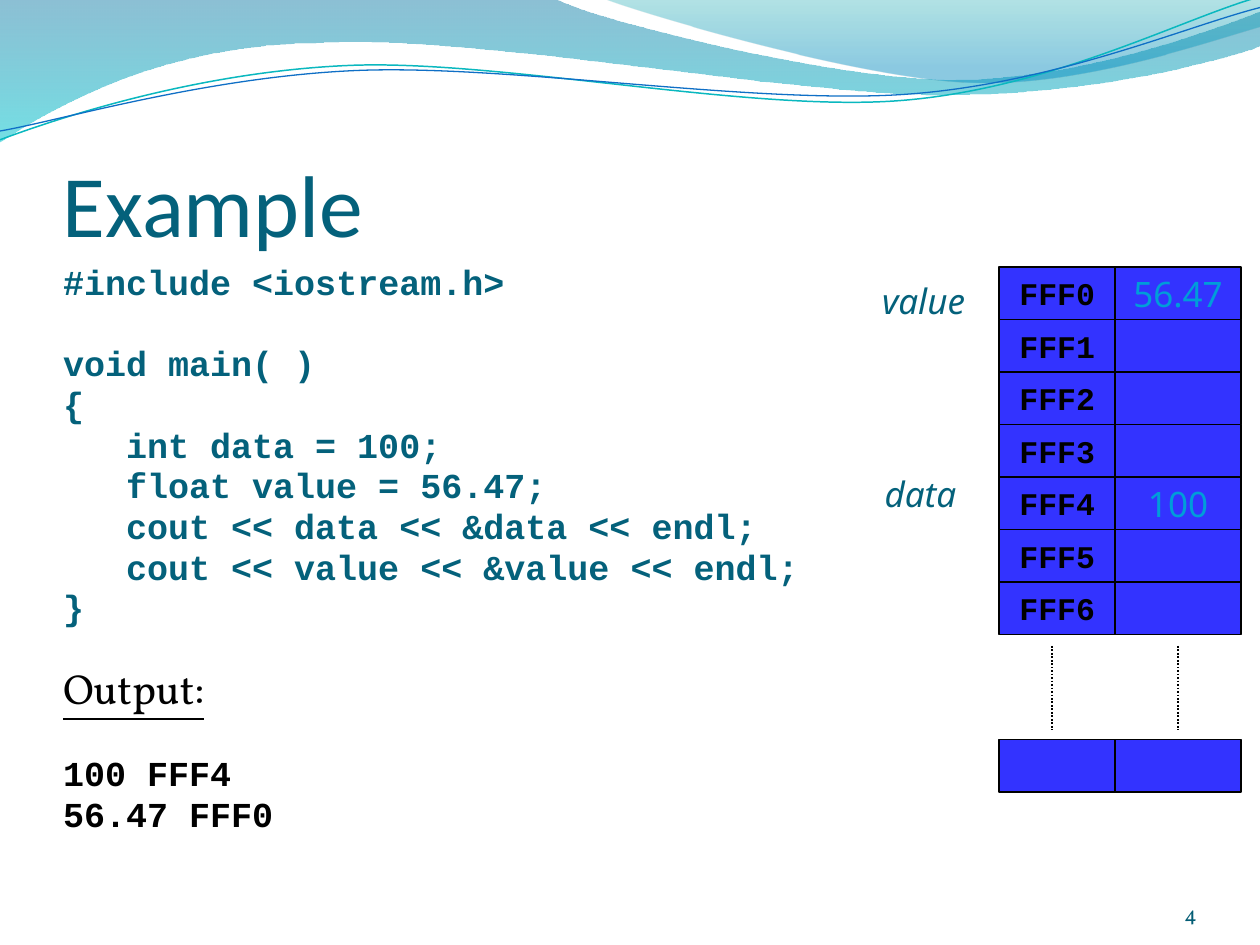
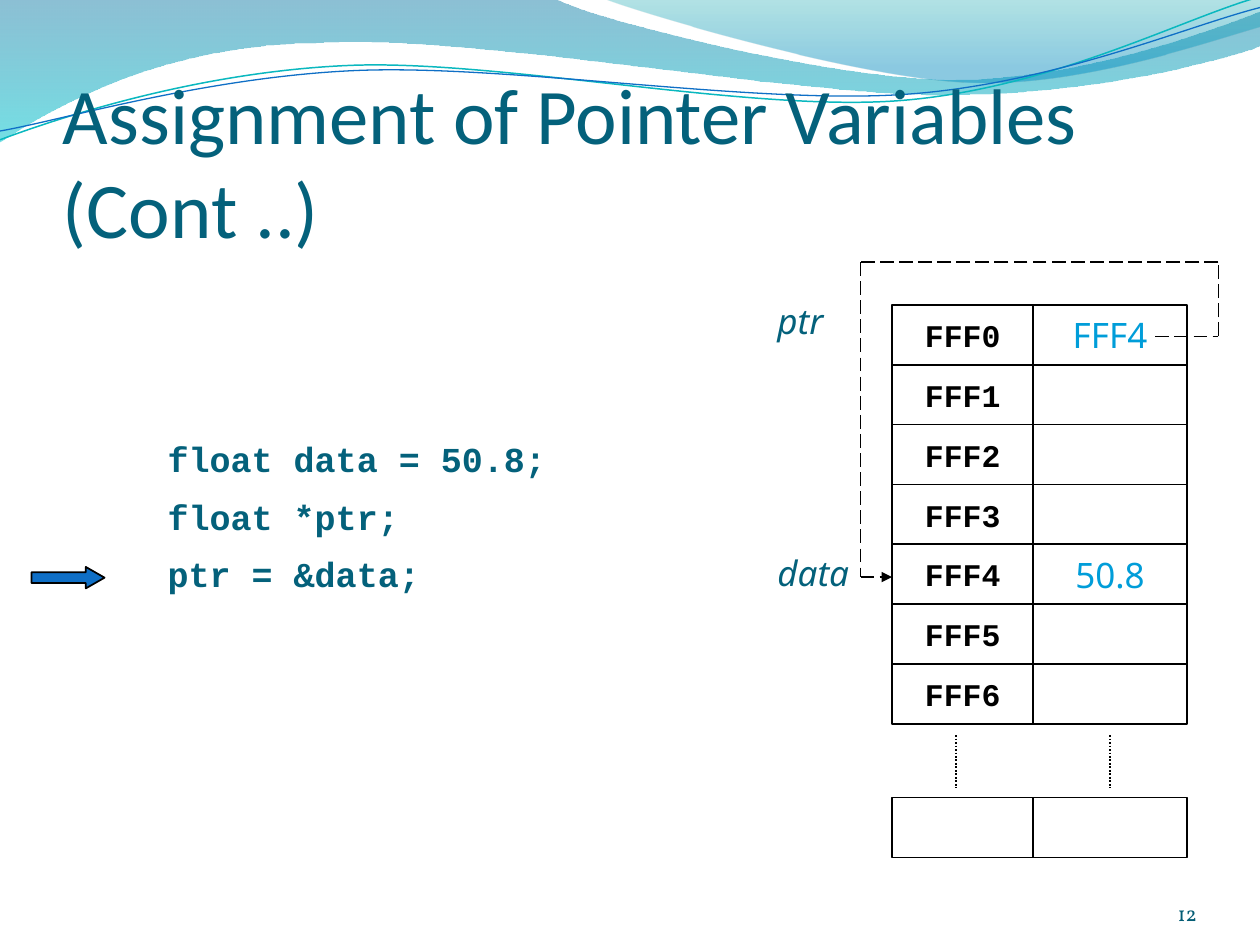
import pptx
import pptx.util
import pptx.dml.color
import pptx.enum.dml
import pptx.enum.shapes
import pptx.enum.text
from pptx.oxml.ns import qn
from lxml import etree

Inches, Pt = pptx.util.Inches, pptx.util.Pt
SHAPE = pptx.enum.shapes.MSO_SHAPE
DASH = pptx.enum.dml.MSO_LINE
ALIGN = pptx.enum.text.PP_ALIGN
ANCHOR = pptx.enum.text.MSO_ANCHOR

COLORS = {
    "title": "04617B", "number": "045D75", "ink": "000000", "value": "009DD9",
    "cell": "3333FF", "arrow": "0F6FC6", "teal": "0AB8BF",
    "wave_top": "0074A1", "wave_end": "00C6CF",
    "corner_top": "00A1A9", "corner_end": "008BBF",
}
HEAD, CODE, LABEL, SERIF = "Calibri", "Courier New", "Noto Sans", "Vollkorn"

# Outlines: a start point, then lines (x, y) and curves (x1, y1, x2, y2, x, y).
WAVE = [(0, -0.01), (4.4, -0.01), (4.76, 0.17, 6.64, 0.63, 7.58, 0.63),
        (8.53, 0.63, 9.58, 0.26, 10, 0.09), (10.01, 0.36),
        (9.83, 0.44, 8.7, 0.76, 7.46, 0.75), (6.22, 0.75, 3.82, 0.28, 2.57, 0.34),
        (1.29, 0.35, 0.46, 0.83, -0.01, 1.13), (0, -0.01)]
CORNER = [(4.79, -0.01), (5.09, 0.11, 6.82, 0.62, 7.69, 0.65),
          (8.56, 0.69, 9.61, 0.32, 10, 0.21), (10, 0), (4.79, -0.01)]
TEAL_LINE = [(0, 1.11), (0.48, 0.93, 1.58, 0.57, 2.77, 0.52),
             (3.95, 0.47, 5.93, 0.89, 7.13, 0.8), (8.33, 0.71, 9.38, 0.15, 9.98, -0.02)]
BLUE_LINE = [(0, 1.04), (0.47, 0.96, 1.64, 0.61, 2.83, 0.56),
             (4.03, 0.51, 5.97, 0.83, 7.17, 0.75), (8.36, 0.67, 9.41, 0.21, 10, 0.06)]


def rgb(name):
    """Return the named colour."""
    return pptx.dml.color.RGBColor.from_string(COLORS[name])


class Deck:
    """Holds the presentation, its style and the current slide."""

    def __init__(self):
        """Start an empty 10 by 7.5 inch presentation."""
        self.prs = pptx.Presentation()
        self.prs.slide_width, self.prs.slide_height = Inches(10), Inches(7.5)
        self.s = None

    def slide(self, title, size, number):
        """Add a slide with the wave band, a title and a slide number."""
        self.s = self.prs.slides.add_slide(self.prs.slide_layouts[6])
        self.band(WAVE, [(0, "wave_top", 45), (1, "wave_end", 55)])
        self.band(CORNER, [(0, "corner_top", 30), (0.8, "corner_end", 45)])
        self.curve(TEAL_LINE, "teal", 0.85)
        self.curve(BLUE_LINE, "arrow", 0.75)
        tf = self.box(0.5, 0.77, 9, 1.25, (0.05, 0), ANCHOR.BOTTOM)
        self.run(tf.paragraphs[0], title, HEAD, size, "title")
        tf = self.box(8.67, 6.95, 0.83, 0.4, (0, 0), ANCHOR.BOTTOM)
        tf.paragraphs[0].alignment = ALIGN.RIGHT
        self.run(tf.paragraphs[0], number, SERIF, 12, "number")

    def outline(self, outline, close):
        """Draw a freeform through an outline, then bend its curved segments."""
        knots = [(Inches(seg[-2]), Inches(seg[-1])) for seg in outline]
        fb = self.s.shapes.build_freeform(*knots[0])
        fb.add_line_segments(knots[1:], close=close)
        sp = fb.convert_to_shape()
        sp.shadow.inherit = False
        left, top = min(x for x, _ in knots), min(y for _, y in knots)
        segments = list(sp.element.spPr.iter(qn("a:lnTo")))
        for straight, seg in zip(segments, outline[1:]):
            if len(seg) == 2:
                continue
            bend = etree.Element(qn("a:cubicBezTo"))
            for x, y in zip(seg[::2], seg[1::2]):
                pt = etree.SubElement(bend, qn("a:pt"))
                pt.set("x", str(Inches(x) - left))
                pt.set("y", str(Inches(y) - top))
            straight.getparent().replace(straight, bend)
        return sp

    def band(self, outline, stops):
        """Draw a closed outline with a see-through vertical gradient."""
        sp = self.outline(outline, True)
        sp.line.fill.background()
        sp.fill.gradient()
        sp.fill.gradient_angle = 270
        for stop, (position, color, _) in zip(sp.fill.gradient_stops, stops):
            stop.position = position
            stop.color.rgb = rgb(color)
        for clr, (_, _, opacity) in zip(sp.element.spPr.iter(qn("a:srgbClr")), stops):
            etree.SubElement(clr, qn("a:alpha")).set("val", str(opacity * 1000))

    def curve(self, outline, color, width):
        """Draw an open curve."""
        sp = self.outline(outline, False)
        sp.fill.background()
        sp.line.color.rgb = rgb(color)
        sp.line.width = Pt(width)

    def box(self, x, y, w, h, insets=(0.05, 0.05), anchor=ANCHOR.TOP):
        """Add a wrapping text box with top and bottom insets; return its frame."""
        tf = self.s.shapes.add_textbox(*map(Inches, (x, y, w, h))).text_frame
        tf.word_wrap = True
        tf.margin_left = tf.margin_right = 0
        tf.margin_top, tf.margin_bottom = map(Inches, insets)
        tf.vertical_anchor = anchor
        return tf

    def run(self, p, text, font, size, color, bold=False, italic=False, underline=False):
        """Add one styled run to a paragraph."""
        r = p.add_run()
        r.text = text
        f = r.font
        f.name, f.size, f.color.rgb = font, Pt(size), rgb(color)
        f.bold, f.italic, f.underline = bold, italic, underline

    def lines(self, tf, rows, spacing):
        """Fill a frame with (text, indent, space before, run style) rows."""
        for i, (text, indent, before, style) in enumerate(rows):
            p = tf.add_paragraph() if i else tf.paragraphs[0]
            p.line_spacing, p.space_before = spacing, Pt(before)
            p._p.get_or_add_pPr().set("marL", str(Inches(indent)))
            self.run(p, text, **style)

    def label(self, x, y, text):
        """Write a variable name beside the memory cells."""
        p = self.box(x, y, 0.75, 0.43).paragraphs[0]
        self.run(p, text, LABEL, 20, "title", italic=True)

    def shape(self, kind, x, y, w, h, fill=None):
        """Draw a preset shape with a thin black line."""
        sp = self.s.shapes.add_shape(kind, *map(Inches, (x, y, w, h)))
        sp.shadow.inherit = False
        if fill:
            sp.fill.solid()
            sp.fill.fore_color.rgb = rgb(fill)
        else:
            sp.fill.background()
        sp.line.color.rgb, sp.line.width = rgb("ink"), Pt(1)
        return sp

    def cell(self, x, y, w, h, fill, text=None, **style):
        """Draw one memory cell with optional centred text."""
        tf = self.shape(SHAPE.RECTANGLE, x, y, w, h, fill).text_frame
        tf.word_wrap = False
        tf.vertical_anchor = ANCHOR.MIDDLE
        if text:
            tf.paragraphs[0].alignment = ALIGN.CENTER
            self.run(tf.paragraphs[0], text, **style)

    def line(self, start, end, dash, arrow=False):
        """Draw a dashed line, with an arrowhead at its end if asked."""
        c = self.s.shapes.add_connector(pptx.enum.shapes.MSO_CONNECTOR.STRAIGHT,
                                        *map(Inches, start + end))
        c.line.color.rgb, c.line.width, c.line.dash_style = rgb("ink"), Pt(1), dash
        spPr = c.element.spPr
        if arrow:
            etree.SubElement(spPr.find(qn("a:ln")), qn("a:tailEnd")).set("type", "triangle")
        etree.SubElement(spPr, qn("a:effectLst"))

    def memory(self, x, y, widths, h, values, last, dots, fill=None):
        """Draw addresses FFF0 to FFF6, their values, dotted lines and a last row."""
        value_x = x + widths[0]
        for i in range(7):
            top = y + i * h
            self.cell(value_x, top, widths[1], h, fill, values.get(i),
                      font=LABEL, size=20, color="value")
            self.cell(x, top, widths[0], h, fill, f"FFF{i}",
                      font=CODE, size=18, color="ink", bold=True)
        for left, w in ((x, widths[0]), (value_x, widths[1])):
            self.cell(left, last, w, h, fill)
        for dot_x in dots:
            self.line((dot_x, y + 7 * h + 0.09), (dot_x, last - 0.08), DASH.ROUND_DOT)


deck = Deck()
code = dict(font=CODE, size=20, color="title", bold=True)
output = dict(code, color="ink")
heading = dict(font=SERIF, size=24, color="ink", underline=True)

# Slide 1: a program, its output and the memory it uses
deck.slide("Example", 50, "4")
deck.lines(deck.box(0.5, 2.08, 6.75, 4.75), [
    ("#include <iostream.h>", 0, 4, code),
    ("void main( )", 0, 27.5, code),
    ("{", 0, 4, code),
    ("int data = 100;", 0.5, 4, code),
    ("float value = 56.47;", 0.5, 4, code),
    ("cout << data << &data << endl;", 0.5, 4, code),
    ("cout << value << &value << endl;", 0.5, 4, code),
    ("}", 0, 4, code),
    ("Output:", 0, 25.5, heading),
    ("100 FFF4", 0, 27, output),
    ("56.47 FFF0", 0, 4, output),
], 0.8)
deck.memory(7.93, 2.12, (0.92, 1), 5 / 12, {0: "56.47", 4: "100"}, 5.87,
            (8.35, 9.35), "cell")
deck.label(7, 2.17, "value")
deck.label(7.02, 3.7, "data")

# Slide 2: the pointer holds the address of data
deck.slide("Assignment of Pointer Variables (Cont ..)", 45, "12")
deck.lines(deck.box(0.83, 2, 4.25, 4.5, (1.41, 0.05)), [
    ("float data = 50.8;", 0.5, 0, code),
    ("float *ptr;", 0.5, 4, code),
    ("ptr = &data;", 0.5, 4, code),
], 1.2)
deck.memory(7.08, 2.42, (1.12, 1.22), 0.475, {0: "FFF4", 4: "50.8"}, 6.33, (7.59, 8.81))
deck.label(6.17, 2.33, "ptr")
deck.label(6.17, 4.33, "data")
route = [(9.17, 2.67), (9.67, 2.67), (9.67, 2.08), (6.83, 2.08), (6.83, 4.58), (7.08, 4.58)]
for start, end in zip(route, route[1:]):
    deck.line(start, end, DASH.LONG_DASH, arrow=end == route[-1])
step = deck.shape(SHAPE.RIGHT_ARROW, 0.25, 4.5, 0.58, 0.17, "arrow")
step.adjustments[0], step.adjustments[1] = 0.5, 0.875

deck.prs.save("out.pptx")
